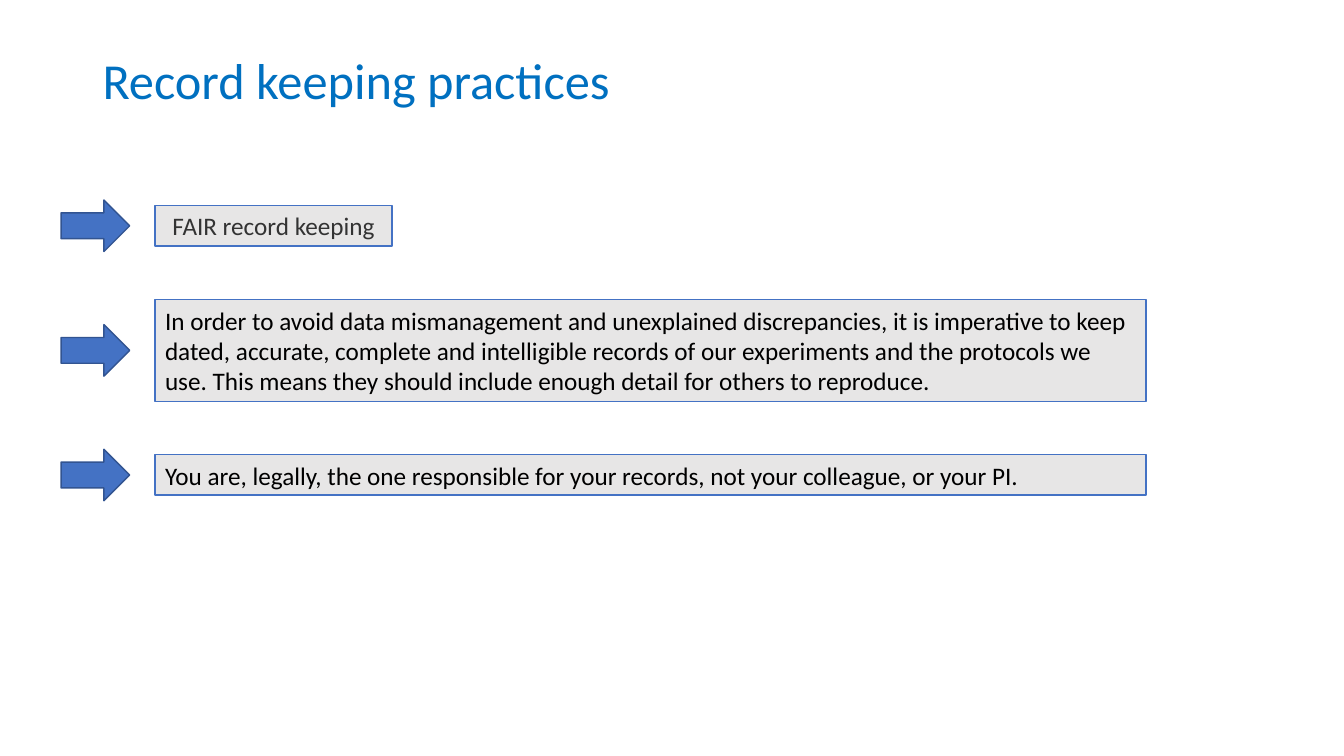
from pptx import Presentation
from pptx.dml.color import RGBColor
from pptx.enum.shapes import MSO_SHAPE
from pptx.enum.text import MSO_ANCHOR, PP_ALIGN
from pptx.util import Cm, Pt

RECT, ARROW = MSO_SHAPE.RECTANGLE, MSO_SHAPE.RIGHT_ARROW
LEFT, CENTER = PP_ALIGN.LEFT, PP_ALIGN.CENTER
MIDDLE = MSO_ANCHOR.MIDDLE

TITLE = "Record keeping practices"
# text, width and height in cm, alignment, text colour
POINTS = [
    ("FAIR record keeping", 5.97, 1.02, CENTER, "333333"),
    ("In order to avoid data mismanagement and unexplained discrepancies, "
     "it is imperative to keep dated, accurate, complete and intelligible "
     "records of our experiments and the protocols we use. This means they "
     "should include enough detail for others to reproduce.",
     24.97, 2.57, LEFT, "000000"),
    ("You are, legally, the one responsible for your records, "
     "not your colleague, or your PI.", 24.97, 1.02, LEFT, "000000"),
]
FIRST, STEP = 5.69, 3.14  # centre of the first row, distance between rows
BOX_X = 3.91
ARROW_X, ARROW_W, ARROW_H = 1.54, 1.73, 1.3


def color(code):
    return RGBColor.from_string(code)


def style(para, size, code, align=LEFT):
    para.alignment = align
    para.font.name = "Calibri"
    para.font.size = Pt(size)
    para.font.color.rgb = color(code)


def add_block(slide, kind, x, mid, w, h, fill, line):
    """Add a shape centred vertically on mid."""
    block = slide.shapes.add_shape(kind, Cm(x), Cm(mid - h / 2), Cm(w), Cm(h))
    block.shadow.inherit = False
    block.fill.solid()
    block.fill.fore_color.rgb = color(fill)
    block.line.color.rgb = color(line)
    block.line.width = Pt(1)
    return block


def main():
    deck = Presentation()
    deck.slide_width, deck.slide_height = Cm(33.87), Cm(19.05)
    slide = deck.slides.add_slide(deck.slide_layouts[5])

    title = slide.shapes.title
    title.left, title.top = Cm(2.33), Cm(1.01)
    title.width, title.height = Cm(29.21), Cm(2.16)
    title.text_frame.text = TITLE
    title.text_frame.vertical_anchor = MIDDLE
    head = title.text_frame.paragraphs[0]
    head.line_spacing = 0.9
    style(head, 36, "0070C0")

    for row, (text, w, h, align, ink) in enumerate(POINTS):
        mid = FIRST + row * STEP
        box = add_block(slide, RECT, BOX_X, mid, w, h, "E7E6E6", "4472C4")
        frame = box.text_frame
        frame.word_wrap = True
        frame.vertical_anchor = MIDDLE
        frame.text = text
        style(frame.paragraphs[0], 18, ink, align)
        add_block(slide, ARROW, ARROW_X, mid, ARROW_W, ARROW_H,
                  "4472C4", "325491")

    deck.save("out.pptx")


if __name__ == "__main__":
    main()
